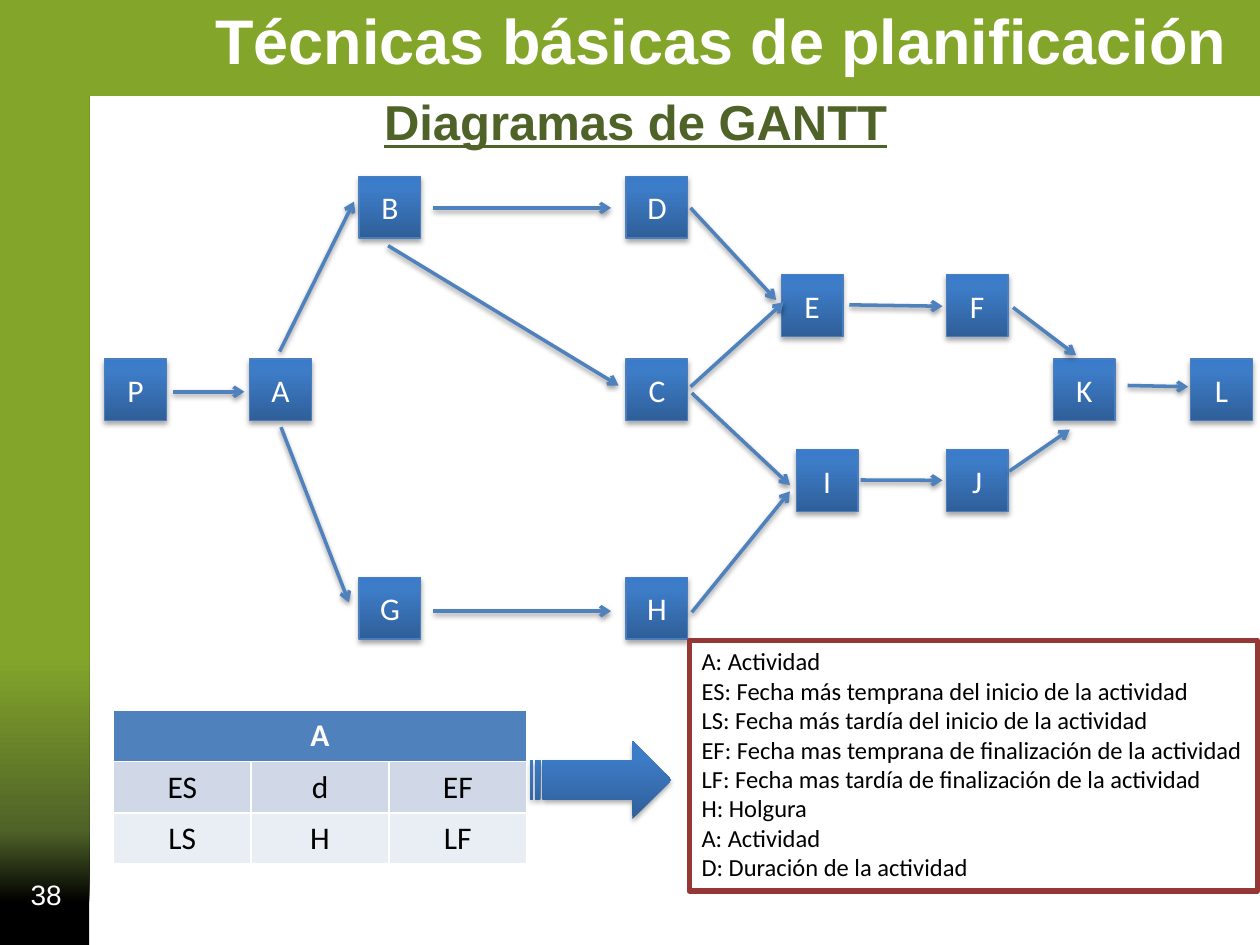
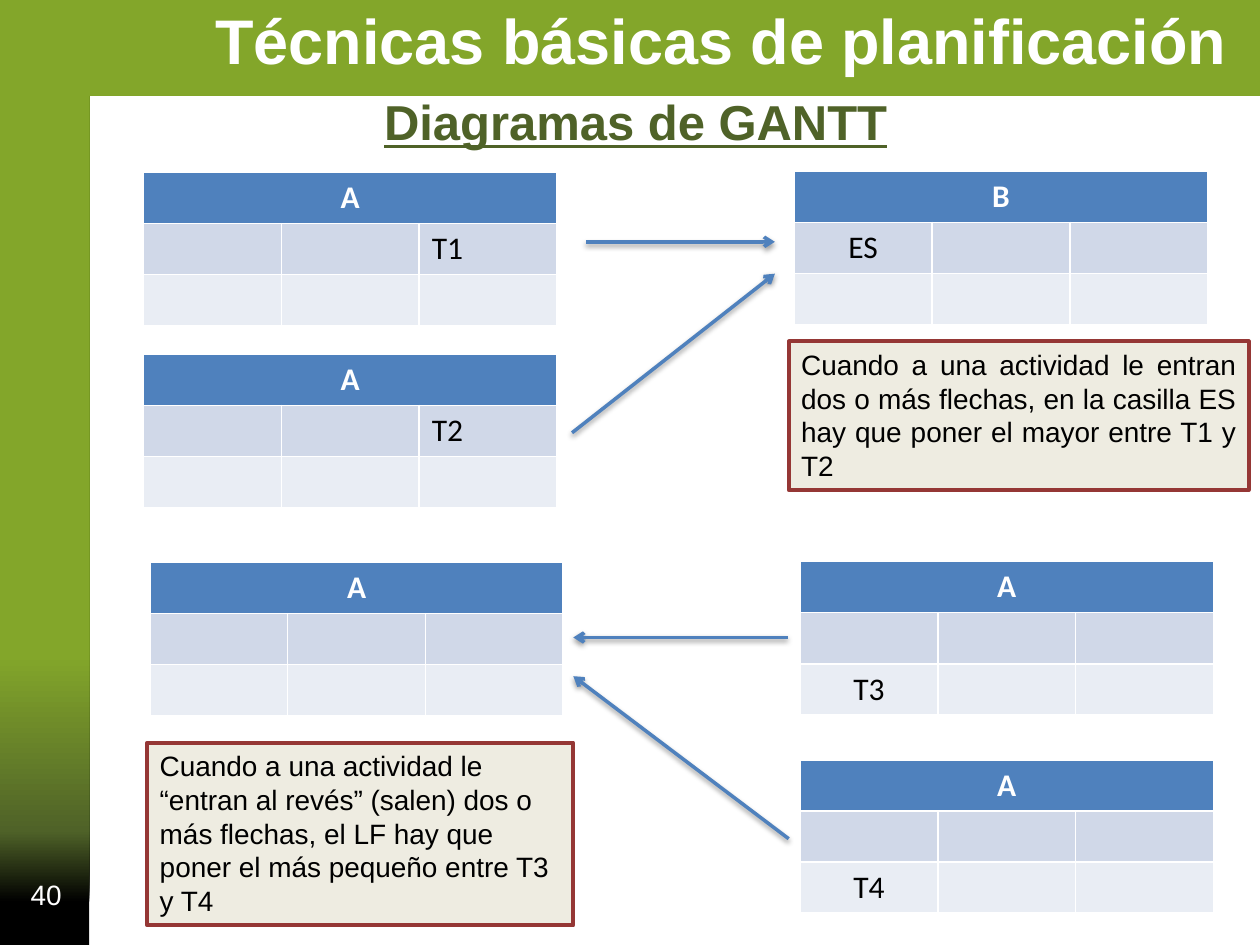
"""Build two slides on planning networks and the dates of their activities."""
from dataclasses import dataclass

from lxml.etree import SubElement
from pptx import Presentation
from pptx.dml.color import RGBColor
from pptx.enum.shapes import MSO_CONNECTOR, MSO_SHAPE
from pptx.enum.text import MSO_ANCHOR, PP_ALIGN
from pptx.oxml.ns import qn
from pptx.util import Pt

TITLE = "Técnicas básicas de planificación"
SUBTITLE = "Diagramas de GANTT"
ROW_TOPS = {"top": 100.8, "upper": 157, "middle": 205.2, "lower": 257, "bottom": 329.8}
ACTIVITIES = [
    ("P", 59.8, "middle"), ("A", 142.6, "middle"), ("B", 205.2, "top"),
    ("C", 357.8, "middle"), ("D", 357.8, "top"), ("E", 446.4, "upper"),
    ("F", 540.7, "upper"), ("G", 205.2, "bottom"), ("H", 357.8, "bottom"),
    ("I", 455, "lower"), ("J", 540.7, "lower"), ("K", 601.9, "middle"),
    ("L", 680.4, "middle"),
]
NETWORK_ARROWS = [
    ((98.6, 223.9), (139.7, 223.9)),
    ((160.6, 244.1), (199.4, 344.2)),
    ((159.8, 200.9), (202.3, 115.2)),
    ((221.8, 140.4), (353.5, 220.3)),
    ((247.7, 118.8), (349.2, 118.8)),
    ((485.3, 174.2), (538.6, 175)),
    ((578.9, 175.7), (614.9, 203)),
    ((491.8, 274.3), (538.6, 274.5)),
    ((395.3, 349.9), (451.4, 280.8)),
    ((247.7, 349.2), (349.2, 349.2)),
    ((576.7, 269.3), (611.3, 245.5)),
    ((644.4, 220.3), (679, 221)),
    ((394.6, 118.8), (443.5, 171.4)),
    ((395.3, 224.6), (451.4, 277.2)),
    ((394.6, 221), (447.8, 172.8)),
]
LEGEND = [
    "A: Actividad",
    "ES: Fecha más temprana del inicio de la actividad",
    "LS: Fecha más tardía del inicio de la actividad",
    "EF: Fecha mas temprana de finalización de la actividad",
    "LF: Fecha mas tardía de finalización de la actividad",
    "H: Holgura",
    "A: Actividad",
    "D: Duración de la actividad",
]
LEFT, CENTER, RIGHT = PP_ALIGN.LEFT, PP_ALIGN.CENTER, PP_ALIGN.RIGHT
KEY_CARD = (64.8, 406.1, "A", [["ES", "d", "EF"], ["LS", "H", "LF"]], CENTER)
EMPTY = ["", "", ""]
DATE_CARDS = [
    (82.1, 98.6, "A", [["", "", "T1"], EMPTY], LEFT),
    (453.9, 97.9, "B", [["ES", "", ""], EMPTY], CENTER),
    (82.1, 202.5, "A", [["", "", "T2"], EMPTY], LEFT),
    (85.7, 321.4, "A", [EMPTY, EMPTY], CENTER),
    (457.2, 320.9, "A", [EMPTY, ["T3", "", ""]], CENTER),
    (457.2, 434.2, "A", [EMPTY, ["T4", "", ""]], CENTER),
]
DATE_ARROWS = [
    ((334.8, 138.2), (442.8, 138.2)),
    ((326.9, 247.3), (442.8, 156.4)),
    ((450, 364.3), (327.6, 364.3)),
    ((450.7, 479.3), (327.6, 386.4)),
]
NOTES = [
    ((450.7, 195.1, 262.8, 85), PP_ALIGN.JUSTIFY,
     "Cuando a una actividad le entran dos o más flechas, en la casilla ES "
     "hay que poner el mayor entre T1 y T2"),
    ((84.2, 424.4, 243.4, 104.4), LEFT,
     "Cuando a una actividad le “entran al revés” (salen) dos o más flechas, "
     "el LF hay que poner el más pequeño entre T3 y T4"),
]


@dataclass(frozen=True)
class TextStyle:
    size: float
    font: str
    color: str
    bold: bool = False
    underline: bool = False


@dataclass(frozen=True)
class Theme:
    title = TextStyle(36, "Arial", "FFFFFF", bold=True)
    subtitle = TextStyle(28, "Arial", "4F6228", bold=True, underline=True)
    number = TextStyle(16, "Arial", "FFFFFF")
    node = TextStyle(18, "Calibri", "FFFFFF")
    header = TextStyle(18, "Calibri", "FFFFFF", bold=True)
    cell = TextStyle(18, "Calibri", "000000")
    legend = TextStyle(14, "Calibri", "000000")
    note = TextStyle(16, "Arial", "000000")
    blue = "4F81BD"
    node_line = "4B7EBC"
    box_line = "953735"
    note_fill = "EEECE1"
    row_fills = ("D0D8E8", "E9EDF4")
    frame_stops = ((0, "000000"), (4.5, "000000"), (12, "4F6228"),
                   (30.5, "83A62A"), (100, "83A62A"))
    node_stops = ((0, "2F5F99"), (80, "3D7CC7"), (100, "3A7CCB"))


THEME = Theme()
NODE_SIZE = 35.3
COLUMN_WIDTH, ROW_HEIGHT = 78.74, 29.2


def color(value):
    return RGBColor.from_string(value)


def points(*values):
    return [Pt(value) for value in values]


def write(frame, lines, style, alignment=LEFT):
    for index, line in enumerate(lines):
        paragraph = frame.add_paragraph() if index else frame.paragraphs[0]
        paragraph.alignment = alignment
        run = paragraph.add_run()
        run.text = line
        font = run.font
        font.size, font.name = Pt(style.size), style.font
        font.bold, font.underline = style.bold, style.underline
        font.color.rgb = color(style.color)


def add_text(slide, box, lines, style, alignment=LEFT, wrap=True, anchor=MSO_ANCHOR.TOP):
    shape = slide.shapes.add_textbox(*points(*box))
    frame = shape.text_frame
    frame.word_wrap, frame.vertical_anchor = wrap, anchor
    write(frame, lines, style, alignment)
    return shape


def set_line(shape, line_color, width):
    shape.line.color.rgb = color(line_color)
    shape.line.width = Pt(width)


def set_gradient(shape, stops, angle):
    properties = shape.fill._xPr
    gradient = SubElement(properties, qn("a:gradFill"), rotWithShape="1")
    properties.insert(2, gradient)
    stop_list = SubElement(gradient, qn("a:gsLst"))
    for position, value in stops:
        stop = SubElement(stop_list, qn("a:gs"), pos=str(int(position * 1000)))
        SubElement(stop, qn("a:srgbClr"), val=value)
    SubElement(gradient, qn("a:lin"), ang=str(angle * 60000), scaled="0")


def add_shadow(shape, opacity, distance):
    effects = SubElement(shape._element.spPr, qn("a:effectLst"))
    shadow = SubElement(effects, qn("a:outerShdw"), blurRad=str(Pt(3.1)),
                        dist=str(Pt(distance)), dir="5400000", rotWithShape="0")
    shade = SubElement(shadow, qn("a:srgbClr"), val="000000")
    SubElement(shade, qn("a:alpha"), val=str(opacity * 1000))


def add_blue_shape(slide, preset, box):
    shape = slide.shapes.add_shape(preset, *points(*box))
    set_gradient(shape, THEME.node_stops, 270)
    return shape


def add_activity(slide, name, left, row):
    shape = add_blue_shape(slide, MSO_SHAPE.RECTANGLE,
                           (left, ROW_TOPS[row], NODE_SIZE, NODE_SIZE))
    set_line(shape, THEME.node_line, 0.75)
    add_shadow(shape, 35, 1.8)
    shape.text_frame.vertical_anchor = MSO_ANCHOR.MIDDLE
    write(shape.text_frame, [name], THEME.node, CENTER)


def add_arrow(slide, start, end):
    connector = slide.shapes.add_connector(MSO_CONNECTOR.STRAIGHT, *points(*start, *end))
    set_line(connector, THEME.blue, 2)
    SubElement(connector.line._get_or_add_ln(), qn("a:tailEnd"), type="arrow")
    add_shadow(connector, 38, 1.6)


def fill_cell(cell, fill, text, style, alignment):
    cell.fill.solid()
    cell.fill.fore_color.rgb = color(fill)
    if text:
        write(cell.text_frame, [text], style, alignment)


def add_card(slide, left, top, name, rows, alignment):
    table = slide.shapes.add_table(
        3, 3, *points(left, top, 3 * COLUMN_WIDTH, 3 * ROW_HEIGHT)).table
    for column in table.columns:
        column.width = Pt(COLUMN_WIDTH)
    for row in table.rows:
        row.height = Pt(ROW_HEIGHT)
    table.cell(0, 0).merge(table.cell(0, 2))
    fill_cell(table.cell(0, 0), THEME.blue, name, THEME.header, CENTER)
    for row, (values, fill) in enumerate(zip(rows, THEME.row_fills), 1):
        for column, value in enumerate(values):
            fill_cell(table.cell(row, column), fill, value, THEME.cell, alignment)


def add_framed_slide(presentation, number):
    slide = presentation.slides.add_slide(presentation.slide_layouts[6])
    frame = slide.shapes.add_shape(MSO_SHAPE.CORNER, *points(87.1, -92.9, 542.9, 722.9))
    frame.rotation = 90
    frame.adjustments[0], frame.adjustments[1] = 0.099, 0.106
    set_gradient(frame, THEME.frame_stops, 180)
    frame.line.fill.background()
    frame.shadow.inherit = False
    add_text(slide, (115.9, -2.9, 598.3, 51.1), [TITLE], THEME.title, wrap=False)
    add_text(slide, (1.4, 496.8, 41, 28.8), [number], THEME.number, RIGHT,
             anchor=MSO_ANCHOR.MIDDLE)
    add_text(slide, (212.4, 49, 305.3, 41), [SUBTITLE], THEME.subtitle, wrap=False)
    return slide


def build_network_slide(presentation):
    slide = add_framed_slide(presentation, "38")
    for activity in ACTIVITIES:
        add_activity(slide, *activity)
    for arrow in NETWORK_ARROWS:
        add_arrow(slide, *arrow)
    add_card(slide, *KEY_CARD)
    legend = add_text(slide, (393.8, 365.8, 324.7, 143.3), LEGEND, THEME.legend)
    set_line(legend, THEME.box_line, 3)
    pointer = add_blue_shape(slide, MSO_SHAPE.STRIPED_RIGHT_ARROW, (303.1, 423.4, 80.6, 44.6))
    pointer.line.fill.background()
    add_shadow(pointer, 35, 1.8)


def build_dates_slide(presentation):
    slide = add_framed_slide(presentation, "40")
    for card in DATE_CARDS:
        add_card(slide, *card)
    for arrow in DATE_ARROWS:
        add_arrow(slide, *arrow)
    for box, alignment, text in NOTES:
        note = add_text(slide, box, [text], THEME.note, alignment)
        note.fill.solid()
        note.fill.fore_color.rgb = color(THEME.note_fill)
        set_line(note, THEME.box_line, 2.25)


def main():
    presentation = Presentation()
    presentation.slide_width, presentation.slide_height = points(720, 540)
    build_network_slide(presentation)
    build_dates_slide(presentation)
    presentation.save("out.pptx")


if __name__ == "__main__":
    main()
